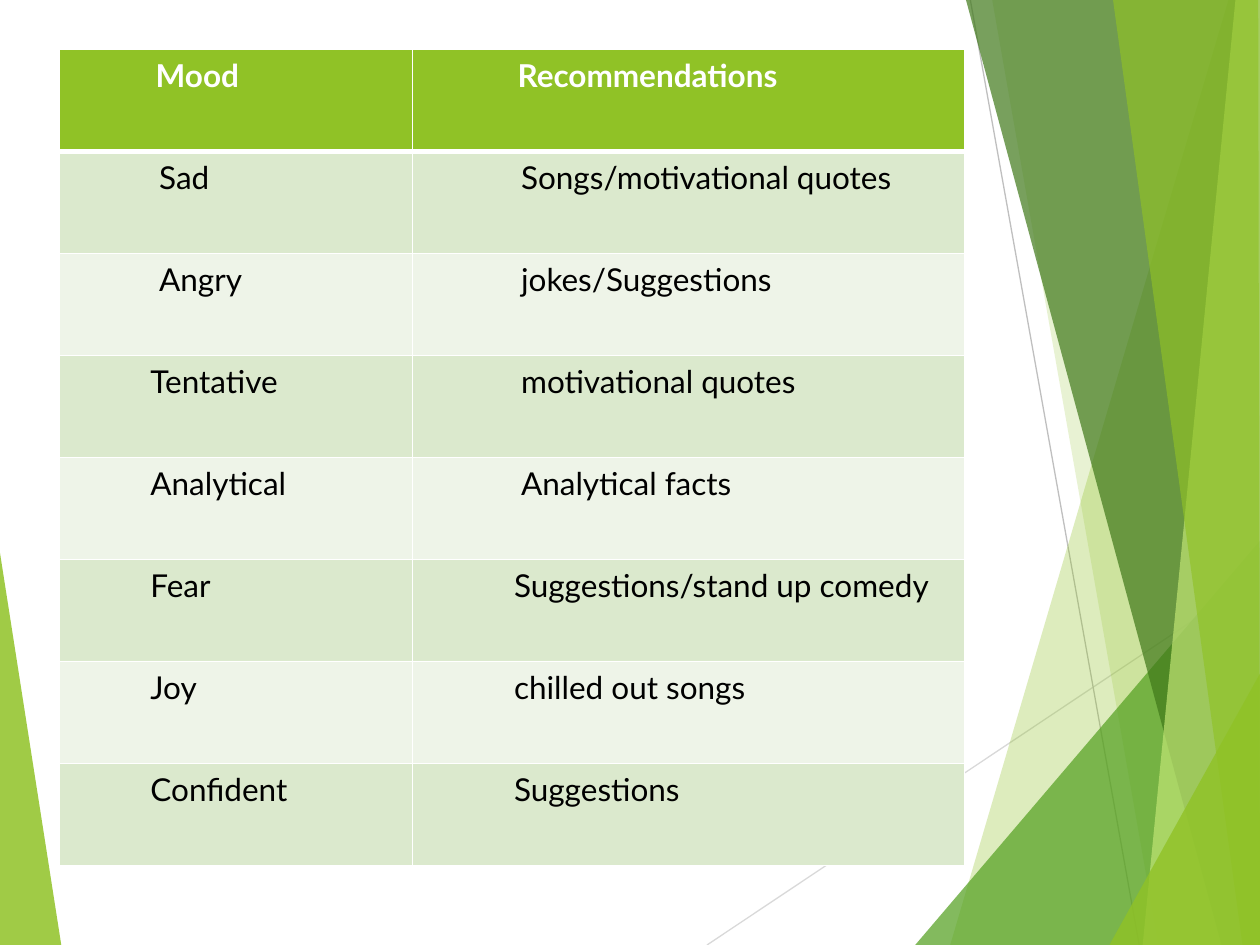
import pptx
import pptx.util
import pptx.dml.color
import pptx.enum.shapes
import pptx.oxml
import pptx.oxml.ns
import lxml.etree

Pt = pptx.util.Pt
RGBColor = pptx.dml.color.RGBColor
qn = pptx.oxml.ns.qn

LIME = RGBColor(0x90, 0xC2, 0x26)
GREEN = RGBColor(0x54, 0xA0, 0x21)
FOREST = RGBColor(0x3F, 0x78, 0x19)
PALE_LIME = RGBColor(0xC0, 0xE4, 0x74)
SILVER = RGBColor(0xD9, 0xD9, 0xD9)
GREY = RGBColor(0xBF, 0xBF, 0xBF)
BAND_DARK = RGBColor(0xDB, 0xE9, 0xCD)
BAND_LIGHT = RGBColor(0xEE, 0xF4, 0xE8)
WHITE = RGBColor(0xFF, 0xFF, 0xFF)
BLACK = RGBColor(0, 0, 0)

FONT = "Lato"
WIDTH, HEIGHT = 720, 540

LEFT_FACET = (LIME, 85, [(0, 316), (35, HEIGHT), (0, HEIGHT)])
RAYS = [
    (SILVER, (404, HEIGHT), (WIDTH, 329)),
    (GREY, (554.5, 0), (651, HEIGHT)),
]
RIGHT_FACETS = [
    (LIME, 30, [(702, 0), (543, HEIGHT), (WIDTH, HEIGHT), (WIDTH, 0)]),
    (LIME, 20, [(567, 0), (662, HEIGHT), (WIDTH, HEIGHT), (WIDTH, 0)]),
    (GREEN, 72, [(523, HEIGHT), (WIDTH, 309), (WIDTH, HEIGHT)]),
    (FOREST, 70, [(552, 0), (698, HEIGHT), (WIDTH, HEIGHT), (WIDTH, 0)]),
    (PALE_LIME, 70, [(706, 0), (653, HEIGHT), (WIDTH, HEIGHT), (WIDTH, 0)]),
    (LIME, 65, [(636, 0), (710, HEIGHT), (WIDTH, HEIGHT), (719, 0)]),
    (LIME, 80, [(634, HEIGHT), (WIDTH, 385), (WIDTH, HEIGHT)]),
]

MOODS = [
    (("Mood", 55), ("Recommendations", 60)),
    (("Sad", 57), ("Songs/motivational quotes", 62)),
    (("Angry", 57), ("jokes/Suggestions", 62)),
    (("Tentative", 52), ("motivational quotes", 62)),
    (("Analytical", 52), ("Analytical facts", 62)),
    (("Fear", 52), ("Suggestions/stand up comedy", 58)),
    (("Joy", 52), ("chilled out songs", 58)),
    (("Confident", 52), ("Suggestions", 58)),
]
TABLE_LEFT, TABLE_TOP = 34, 28.4
COLUMN_WIDTHS = (201.8, 315.4)
ROW_HEIGHT = 58.3


def add_facet(shapes, color, opacity, corners):
    points = [(Pt(x), Pt(y)) for x, y in corners]
    builder = shapes.build_freeform(*points[0])
    builder.add_line_segments(points[1:], close=True)
    facet = builder.convert_to_shape()
    facet.shadow.inherit = False
    facet.line.fill.background()
    facet.fill.solid()
    facet.fill.fore_color.rgb = color
    tint = facet.fill._xPr.find(qn("a:solidFill"))[0]
    lxml.etree.SubElement(tint, qn("a:alpha"), val=str(opacity * 1000))


def add_ray(shapes, color, start, end):
    ray = shapes.add_connector(
        pptx.enum.shapes.MSO_CONNECTOR.STRAIGHT,
        *(Pt(value) for value in start + end))
    ray.line.color.rgb = color
    ray.line.width = Pt(0.75)
    lxml.etree.SubElement(ray._element.spPr, qn("a:effectLst"))


def add_borders(cell, top, bottom):
    properties = cell._tc.get_or_add_tcPr()
    for side, width in (("L", 1), ("R", 1), ("T", top), ("B", bottom)):
        border = lxml.etree.SubElement(
            properties, qn("a:ln" + side), w=str(Pt(width)))
        fill = lxml.etree.SubElement(border, qn("a:solidFill"))
        lxml.etree.SubElement(fill, qn("a:srgbClr"), val=str(WHITE))


def fill_cell(cell, text, indent, row):
    header = row == 0
    add_borders(cell, 3 if row == 1 else 1, 3 if header else 1)
    cell.fill.solid()
    cell.fill.fore_color.rgb = (
        LIME if header else BAND_DARK if row % 2 else BAND_LIGHT)
    cell.margin_left = Pt(indent)
    run = cell.text_frame.paragraphs[0].add_run()
    run.text = text
    run.font.name = FONT
    run.font.size = Pt(18)
    run.font.bold = header
    run.font.color.rgb = WHITE if header else BLACK


def add_mood_table(shapes):
    table = shapes.add_table(
        len(MOODS), len(COLUMN_WIDTHS), Pt(TABLE_LEFT), Pt(TABLE_TOP),
        Pt(sum(COLUMN_WIDTHS)), Pt(ROW_HEIGHT * len(MOODS))).table
    for column, width in zip(table.columns, COLUMN_WIDTHS):
        column.width = Pt(width)
    for row, entries in enumerate(MOODS):
        table.rows[row].height = Pt(ROW_HEIGHT)
        for column, (text, indent) in enumerate(entries):
            fill_cell(table.cell(row, column), text, indent, row)


def main():
    deck = pptx.Presentation()
    deck.slide_width, deck.slide_height = Pt(WIDTH), Pt(HEIGHT)
    shapes = deck.slides.add_slide(deck.slide_layouts[6]).shapes
    add_facet(shapes, *LEFT_FACET)
    for ray in RAYS:
        add_ray(shapes, *ray)
    for facet in RIGHT_FACETS:
        add_facet(shapes, *facet)
    add_mood_table(shapes)
    deck.save("out.pptx")


if __name__ == "__main__":
    main()
